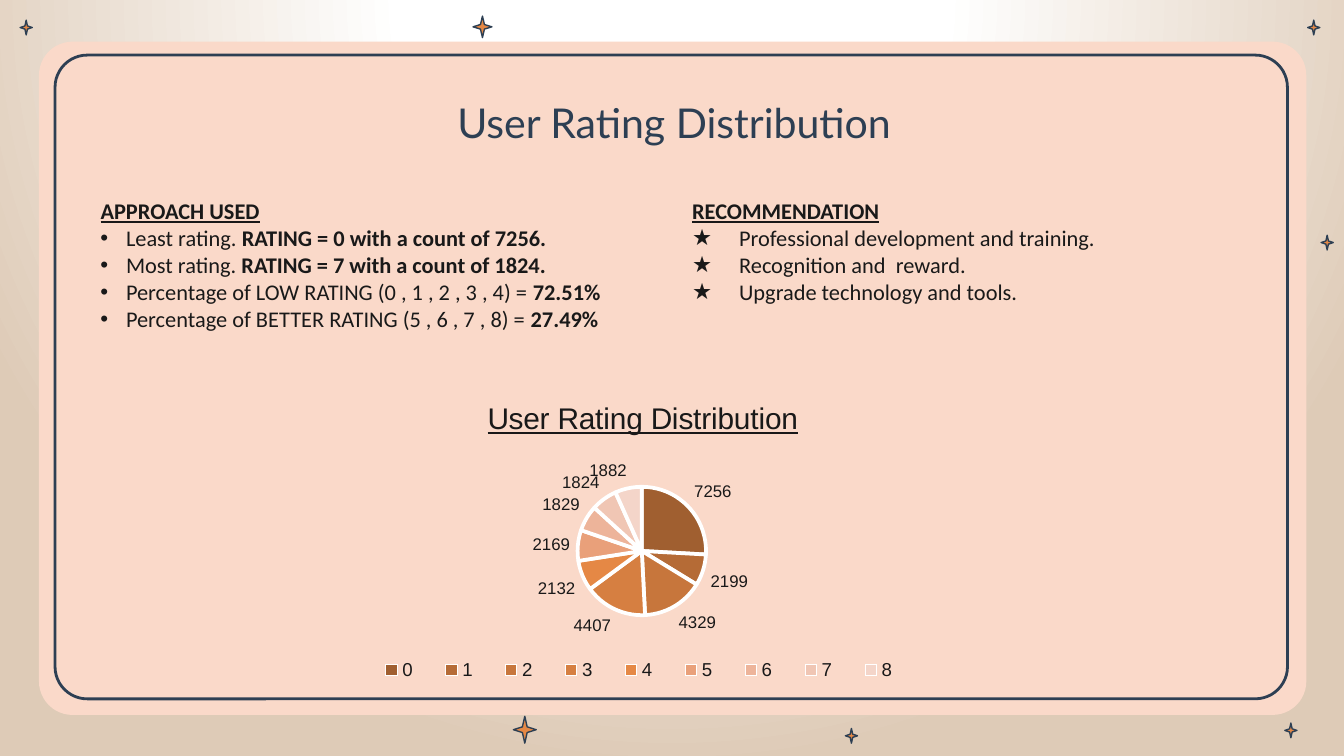
"""Build the user rating distribution slide."""
from lxml import etree
from pptx import Presentation
from pptx import util as u
from pptx.chart import data
from pptx.dml.color import RGBColor
from pptx.enum import chart as charts
from pptx.enum import shapes, text
from pptx.oxml import parse_xml
from pptx.oxml.ns import nsdecls, qn

NAVY = RGBColor(0x2D, 0x3F, 0x53)
PEACH = RGBColor(0xFA, 0xD9, 0xC9)
ORANGE = RGBColor(0xE5, 0x88, 0x45)
INK = RGBColor(0x19, 0x19, 0x19)
WHITE = RGBColor(0xFF, 0xFF, 0xFF)

TITLE = "User Rating Distribution"
RATINGS = [
    ("0", 7256, "A05F30"), ("1", 2199, "B56B36"), ("2", 4329, "C7763C"),
    ("3", 4407, "D67F41"), ("4", 2132, "E58845"), ("5", 2169, "E9A07A"),
    ("6", 1829, "EDB49A"), ("7", 1824, "F0C6B4"), ("8", 1882, "F4D5C9"),
]
COLUMNS = [
    ("APPROACH USED", 0.17, "•", 0.36, -0.19, [
        ("Least rating. ", "RATING = 0 with a count of 7256."),
        ("Most rating. ", "RATING = 7 with a count of 1824."),
        ("Percentage of LOW RATING (0 , 1 , 2 , 3 , 4) = ", "72.51%"),
        ("Percentage of BETTER RATING (5 , 6 , 7 , 8) = ", "27.49%"),
    ]),
    ("RECOMMENDATION", 0.15, "★", 0.5, -0.35, [
        ("Professional development and training.", ""),
        ("Recognition and  reward.", ""),
        ("Upgrade technology and tools.", ""),
    ]),
]
SMALL, MEDIUM, LARGE = (0.09, 0.11), (0.14, 0.16), (0.17, 0.2)
SPARKLES = [
    (9.83, 1.75, SMALL), (3.52, 0.12, MEDIUM), (0.15, 0.15, SMALL), (9.73, 0.15, SMALL),
    (6.29, 5.42, SMALL), (3.82, 5.33, LARGE), (9.56, 5.38, SMALL),
]


def inches(*values):
    return [u.Inches(value) for value in values]


def paint_background(page):
    page.background.fill.solid()
    solid = page.background._cSld.find(".//" + qn("a:solidFill"))
    stops = "".join(
        f'<a:gs pos="{place}"><a:srgbClr val="{color}"/></a:gs>'
        for place, color in [(0, "FFFFFF"), (35000, "FFFFFF"), (100000, "DECBB7")])
    solid.getparent().replace(solid, parse_xml(
        f'<a:gradFill {nsdecls("a")} rotWithShape="1"><a:gsLst>{stops}</a:gsLst>'
        '<a:path path="circle"><a:fillToRect l="50000" t="-80000" r="50000" b="180000"/>'
        '</a:path></a:gradFill>'))


def add_shape(page, kind, place, adjust, fill=None, width=None):
    shape = page.shapes.add_shape(kind, *inches(*place))
    shape.shadow.inherit = False
    shape.adjustments[0] = adjust
    if fill is None:
        shape.fill.background()
    else:
        shape.fill.solid()
        shape.fill.fore_color.rgb = fill
    if width is None:
        shape.line.fill.background()
    else:
        shape.line.color.rgb = NAVY
        shape.line.width = u.Pt(width)


def style_font(font, size, color, name, bold=False, underline=False):
    font.size, font.name = u.Pt(size), name
    font.bold, font.underline = bold, underline
    font.color.rgb = color


def add_span(para, words, *style):
    span = para.add_run()
    span.text = words
    style_font(span.font, *style)


def add_box(page, place):
    box = page.shapes.add_textbox(*inches(*place))
    frame = box.text_frame
    frame.word_wrap = True
    frame.margin_left = frame.margin_right = u.Inches(0.1)
    frame.margin_top = frame.margin_bottom = u.Inches(0.1)
    return frame


def indent(para, margin, hanging, bullet=None):
    props = para._p.get_or_add_pPr()
    props.set("marL", str(u.Inches(margin)))
    props.set("indent", str(u.Inches(hanging)))
    if bullet:
        color = etree.SubElement(props, qn("a:buClr"))
        etree.SubElement(color, qn("a:srgbClr")).set("val", str(INK))
        etree.SubElement(props, qn("a:buFont")).set("typeface", "Arial")
        etree.SubElement(props, qn("a:buChar")).set("char", bullet)


def add_columns(page):
    frame = add_box(page, (0.48, 1.37, 9.04, 1.25))
    frame._txBody.bodyPr.set("numCol", str(len(COLUMNS)))
    para = frame.paragraphs[0]
    for heading, margin, bullet, item_margin, hanging, items in COLUMNS:
        para = para if not para.runs else frame.add_paragraph()
        indent(para, margin, 0)
        add_span(para, heading, 12, INK, "Calibri", True, True)
        for plain, strong in items:
            para = frame.add_paragraph()
            indent(para, item_margin, hanging, bullet)
            add_span(para, plain, 12, INK, "Calibri")
            if strong:
                add_span(para, strong, 12, INK, "Calibri", True)


def manual_layout(x, y, w=None, h=None, inner=False):
    target = '<c:layoutTarget val="inner"/>' if inner else ""
    sizes = [(key, value) for key, value in zip("xywh", (x, y, w, h)) if value is not None]
    modes = "".join(f'<c:{key}Mode val="edge"/>' for key in "xy")
    values = "".join(f'<c:{key} val="{value}"/>' for key, value in sizes)
    return parse_xml(f'<c:layout {nsdecls("c")}><c:manualLayout>{target}{modes}{values}'
                     '</c:manualLayout></c:layout>')


def place_part(part, layout, after=None):
    for old in part.findall(qn("c:layout")):
        part.remove(old)
    if after is None:
        part.insert(0, layout)
    else:
        part.find(qn(after)).addnext(layout)


def add_pie(page):
    source = data.CategoryChartData()
    source.categories = [name for name, _, _ in RATINGS]
    source.add_series("Series 1", [count for _, count, _ in RATINGS])
    pie = page.shapes.add_chart(
        charts.XL_CHART_TYPE.PIE, *inches(2.67, 2.81, 4.17, 2.39), source).chart
    style_font(pie.font, 10, INK, "Arial")
    pie.has_title = True
    add_span(pie.chart_title.text_frame.paragraphs[0], TITLE, 16, INK, "Arial", False, True)
    place_part(pie.chart_title._element, manual_layout(0.22, 0.05), "c:tx")
    pie.has_legend = True
    pie.legend.position = charts.XL_LEGEND_POSITION.BOTTOM
    pie.legend.include_in_layout = False
    style_font(pie.legend.font, 10, INK, "Arial")
    place_part(pie.legend._element, manual_layout(0, 0.86, 1, 0.1), "c:legendPos")
    plot = pie.plots[0]
    plot.vary_by_categories = True
    place_part(pie._chartSpace.chart.plotArea, manual_layout(0.39, 0.34, 0.23, 0.4, True))
    for index, (_, _, color) in enumerate(RATINGS):
        wedge = plot.series[0].points[index].format
        wedge.fill.solid()
        wedge.fill.fore_color.rgb = RGBColor.from_string(color)
        wedge.line.color.rgb = WHITE
        wedge.line.width = u.Pt(2)
    labels = plot.series[0].data_labels
    labels.show_value = True
    labels.position = charts.XL_LABEL_POSITION.OUTSIDE_END
    style_font(labels.font, 9, INK, "Arial")


def main():
    deck = Presentation()
    deck.slide_width = u.Inches(10)
    deck.slide_height = deck.slide_width * 9 // 16
    page = deck.slides.add_slide(deck.slide_layouts[6])
    paint_background(page)
    kind = shapes.MSO_SHAPE
    add_shape(page, kind.ROUNDED_RECTANGLE, (0.29, 0.31, 9.43, 5.01), 0.05, PEACH)
    add_shape(page, kind.ROUNDED_RECTANGLE, (0.41, 0.41, 9.17, 4.79), 0.05, width=1.5)
    for left, top, size in SPARKLES:
        add_shape(page, kind.STAR_4_POINT, (left, top, *size), 0.15, ORANGE, 0.75)
    add_pie(page)
    add_columns(page)
    frame = add_box(page, (0.44, 0.55, 9.15, 0.66))
    frame.vertical_anchor = text.MSO_ANCHOR.MIDDLE
    para = frame.paragraphs[0]
    para.alignment = text.PP_ALIGN.CENTER
    para.line_spacing = 1.15
    add_span(para, TITLE, 22, NAVY, "Lato")
    deck.save("out.pptx")


if __name__ == "__main__":
    main()
